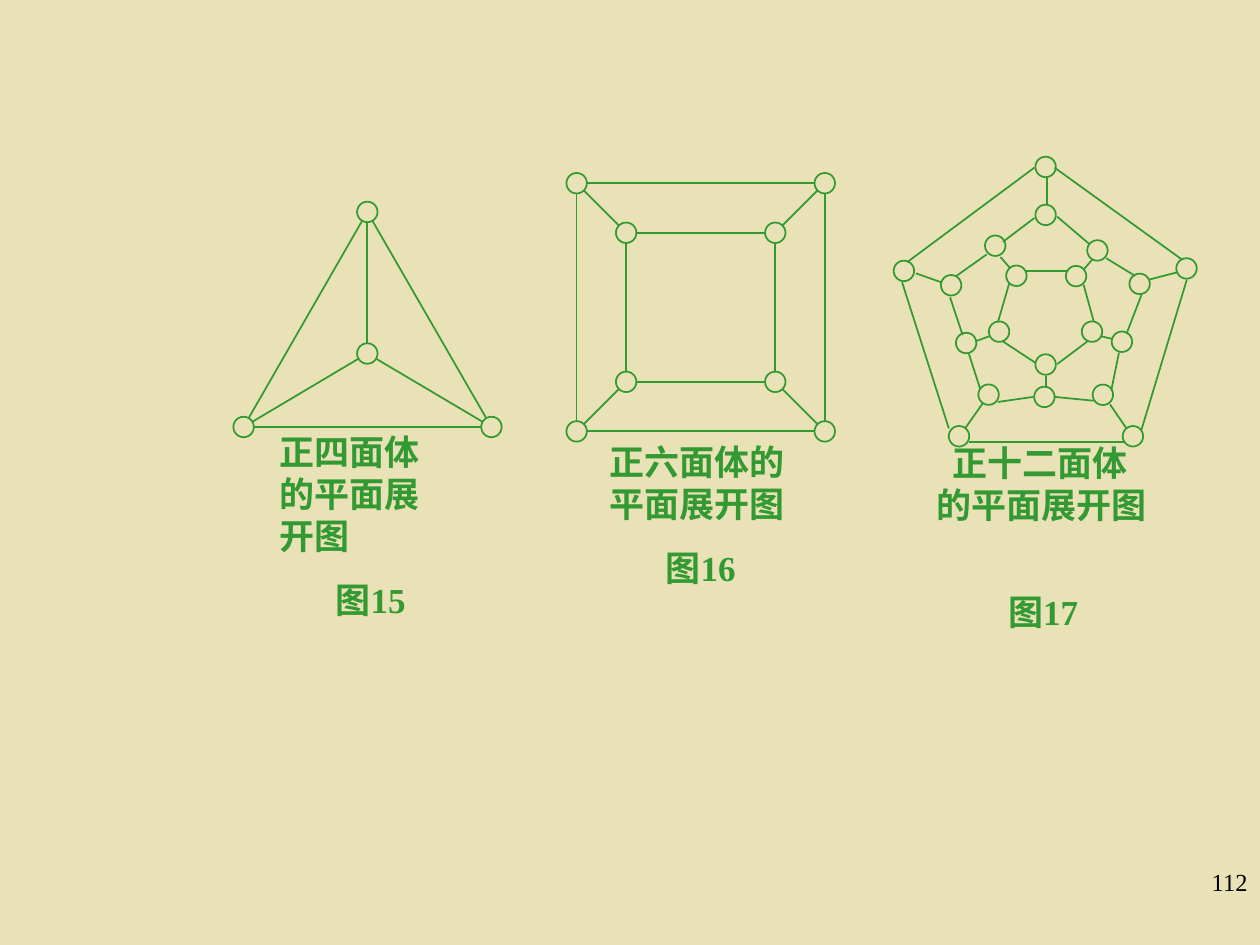
import math

import pptx
import pptx.dml.color
import pptx.enum.shapes
import pptx.enum.text
import pptx.oxml
import pptx.oxml.ns
import pptx.util

Pt = pptx.util.Pt
GREEN = pptx.dml.color.RGBColor(0x33, 0x99, 0x33)
BLACK = pptx.dml.color.RGBColor(0, 0, 0)
SAND = pptx.dml.color.RGBColor(0xE9, 0xE2, 0xB6)
FONT = "Times New Roman"
RADIUS = 5.85

# Tetrahedron: three corners and the middle node, every pair joined
TETRAHEDRON_NODES = [(209.9, 121.1), (139.2, 244), (280.8, 244), (209.9, 202)]
TETRAHEDRON_EDGES = [(0, 1), (1, 2), (2, 0), (0, 3), (1, 3), (2, 3)]

# Cube: an outer and an inner square round one centre
CUBE_CENTRE = (400.4, 175.6)
CUBE_HALF_SIDES = (70.9, 42.6)
CORNERS = [(-1, -1), (1, -1), (1, 1), (-1, 1)]

# Dodecahedron: outer ring, middle ring, inner ring
DODECAHEDRON_NODES = [
    (597.5, 95.4), (678, 153.4), (647.4, 249.3), (548, 249.3), (516.5, 154.8),
    (597.5, 122.8), (627.1, 143.1), (651.2, 162.2), (641.1, 195.3), (630.2, 225.6),
    (596.8, 226.8), (564.9, 225.5), (552.1, 196), (543.5, 163), (568.7, 140.4),
    (614.9, 157.8), (624, 189.5), (597.5, 208.3), (570.9, 189.5), (580.8, 157.6),
]
DODECAHEDRON_LINES = [
    # outer pentagon
    (602.6, 95.8, 675.4, 148.3), (678.2, 159.8, 652.3, 245.5),
    (553.7, 252.7, 642.2, 252.7), (515.5, 161.3, 542.2, 244.8),
    (591.1, 95.8, 518.4, 149.8),
    # outer to middle
    (598.3, 101.5, 598.3, 116.6), (656.6, 159.8, 673.2, 155.5),
    (634.3, 231.1, 643.7, 244.8), (561.6, 230.4, 551.5, 244.8),
    (523.4, 156.2, 537.8, 161.3),
    # middle ring
    (604.1, 123.8, 622.8, 139.7), (632.2, 147.6, 648.7, 157.7),
    (652.3, 168.5, 643.7, 190.8), (639.4, 201.6, 635, 223.2),
    (602.6, 226.8, 625, 229), (570.2, 229.7, 590.4, 226.8),
    (553.7, 202.3, 560.2, 222.5), (542.9, 169.9, 550.1, 191.5),
    (563.8, 145.4, 546.5, 157.7), (591.1, 124.6, 573.1, 138.2),
    # middle to inner
    (624.2, 148.3, 619.2, 154.1), (629.3, 192.2, 635.8, 193.7),
    (597.6, 214.6, 597.6, 221.8), (557.3, 195.1, 565.2, 192.2),
    (571.7, 146.9, 577.4, 153.4),
    # inner pentagon
    (586.1, 154.8, 609.8, 154.8), (619.2, 162.7, 625, 183.6),
    (621.4, 195.1, 604.1, 208.1), (573.1, 195.1, 591.8, 207.4),
    (576.7, 162, 570.2, 184.3),
]

# box (left, top, width, height), insets (side, top), then per paragraph:
# text, first-line indent, space before
CAPTIONS = [
    ((152.6, 246.2, 113.8, 84.2), (7.2, 0),
     [("正四面体的平面展开图", 0, 0), ("图15", 32, 12.5)]),
    ((341.3, 248.4, 120.2, 92.2), (7.2, 3.6),
     [("正六面体的平面展开图", 0, 0), ("图16", 32, 12.5)]),
    ((535, 252, 126, 108.7), (0, 0),
     [("正十二面体的平面展开图", 9, 0), ("图17", 41, 37.5)]),
]
PAGE_NUMBER_BOX = (570.2, 491.8, 149.8, 36)


def cube():
    """Return the nodes and the index pairs of the joined ones."""
    nodes = [(CUBE_CENTRE[0] + half * x, CUBE_CENTRE[1] + half * y)
             for half in CUBE_HALF_SIDES for x, y in CORNERS]
    edges = []
    for i in range(4):
        following = (i + 1) % 4
        edges += [(i, following), (i + 4, following + 4), (i, i + 4)]
    return nodes, edges


def rim_to_rim(start, end):
    """Shorten a centre-to-centre line so that it runs between node rims."""
    length = math.dist(start, end)
    dx, dy = ((b - a) * RADIUS / length for a, b in zip(start, end))
    return start[0] + dx, start[1] + dy, end[0] - dx, end[1] - dy


def draw_graph(slide, nodes, lines):
    for x, y in nodes:
        node = slide.shapes.add_shape(
            pptx.enum.shapes.MSO_SHAPE.OVAL, Pt(x - RADIUS), Pt(y - RADIUS),
            Pt(2 * RADIUS), Pt(2 * RADIUS))
        node.shadow.inherit = False
        node.fill.background()
        node.line.color.rgb = GREEN
        node.line.width = Pt(1)
    for line in lines:
        connector = slide.shapes.add_connector(
            pptx.enum.shapes.MSO_CONNECTOR.STRAIGHT, *map(Pt, line))
        connector.line.color.rgb = GREEN
        connector.line.width = Pt(1)
        connector._element.spPr.append(pptx.oxml.parse_xml(
            "<a:effectLst %s/>" % pptx.oxml.ns.nsdecls("a")))


def add_text(slide, box, insets, paragraphs, size, color, bold=False, align=None):
    frame = slide.shapes.add_textbox(*map(Pt, box)).text_frame
    frame.word_wrap = True
    frame.margin_left = frame.margin_right = Pt(insets[0])
    frame.margin_top = frame.margin_bottom = Pt(insets[1])
    for i, (text, indent, space_before) in enumerate(paragraphs):
        paragraph = frame.add_paragraph() if i else frame.paragraphs[0]
        paragraph.text = text
        paragraph.alignment = align
        if space_before:
            paragraph.space_before = Pt(space_before)
        if indent:
            properties = paragraph._p.get_or_add_pPr()
            properties.set("marL", "0")
            properties.set("indent", str(Pt(indent)))
        paragraph.font.name = FONT
        paragraph.font.size = Pt(size)
        paragraph.font.bold = bold
        paragraph.font.color.rgb = color


def main():
    presentation = pptx.Presentation()
    presentation.slide_width, presentation.slide_height = Pt(720), Pt(540)
    slide = presentation.slides.add_slide(presentation.slide_layouts[6])
    slide.background.fill.solid()
    slide.background.fill.fore_color.rgb = SAND

    draw_graph(slide, DODECAHEDRON_NODES, DODECAHEDRON_LINES)
    for nodes, edges in [cube(), (TETRAHEDRON_NODES, TETRAHEDRON_EDGES)]:
        draw_graph(slide, nodes, [rim_to_rim(nodes[a], nodes[b]) for a, b in edges])
    for box, insets, paragraphs in CAPTIONS:
        add_text(slide, box, insets, paragraphs, 20, GREEN, bold=True)
    add_text(slide, PAGE_NUMBER_BOX, (7.2, 3.6), [("112", 0, 0)], 14, BLACK,
             align=pptx.enum.text.PP_ALIGN.RIGHT)
    presentation.save("out.pptx")


if __name__ == "__main__":
    main()
